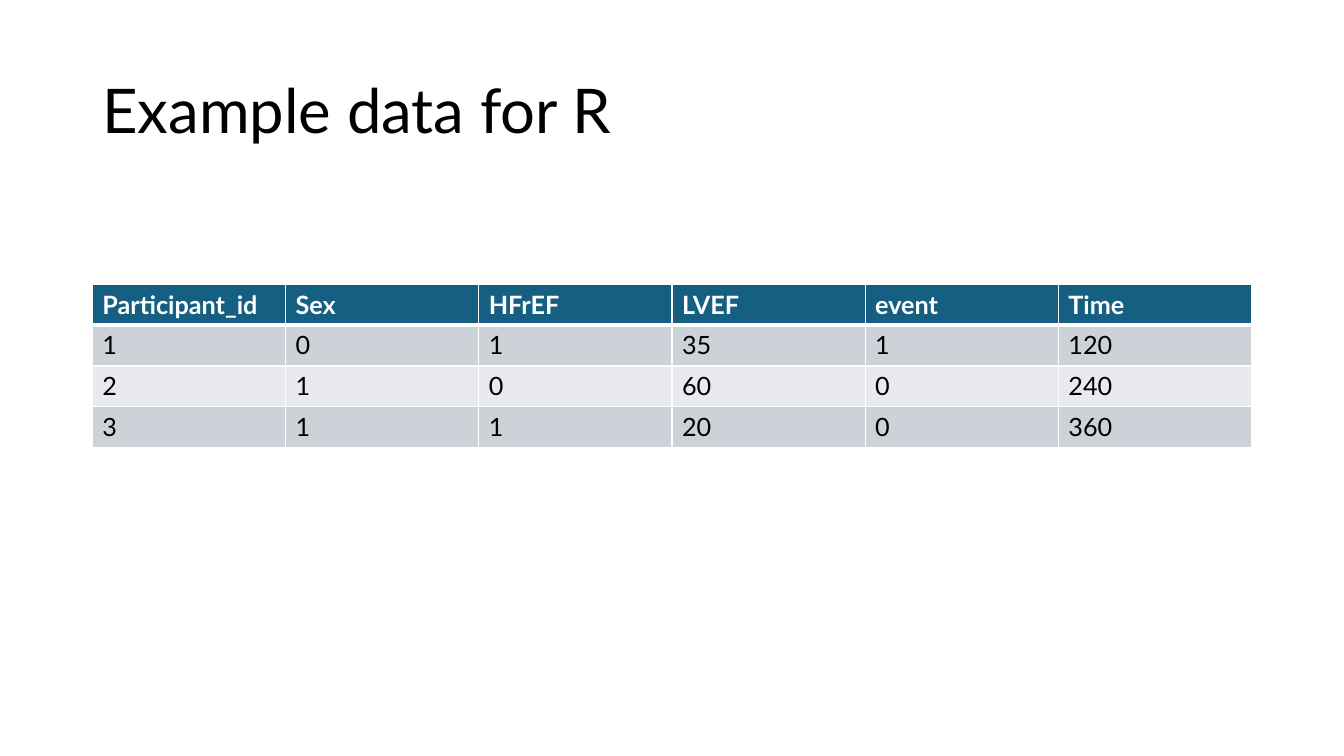
from dataclasses import dataclass

from lxml.etree import SubElement
from pptx import Presentation
from pptx.dml.color import RGBColor
from pptx.enum.text import MSO_ANCHOR
from pptx.oxml.ns import qn
from pptx.util import Pt


@dataclass(frozen=True)
class Theme:
    font: str = "Lato"
    title_size: int = 44
    table_size: int = 18
    ink: str = "000000"
    white: str = "FFFFFF"
    header: str = "156082"
    bands: tuple = ("CCD2D8", "E8EAED")
    rule: int = 1
    header_rule: int = 3


THEME = Theme()
LEFT, WIDTH = 66, 828
ROW_HEIGHT = 29.2

PARTICIPANTS = [
    ("Participant_id", "Sex", "HFrEF", "LVEF", "event", "Time"),
    (1, 0, 1, 35, 1, 120),
    (2, 1, 0, 60, 0, 240),
    (3, 1, 1, 20, 0, 360),
]


def style_text(frame, size, color, bold=False):
    for paragraph in frame.paragraphs:
        for run in paragraph.runs:
            run.font.name = THEME.font
            run.font.size = Pt(size)
            run.font.bold = bold
            run.font.color.rgb = RGBColor.from_string(color)


def add_title(slide, wording):
    title = slide.shapes.add_textbox(Pt(LEFT), Pt(28.75), Pt(WIDTH), Pt(104.4))
    frame = title.text_frame
    frame.word_wrap = True
    frame.vertical_anchor = MSO_ANCHOR.MIDDLE
    frame.text = wording
    frame.paragraphs[0].line_spacing = 0.9
    style_text(frame, THEME.title_size, THEME.ink)


def add_border(cell, side, width):
    line = SubElement(cell._tc.get_or_add_tcPr(), qn(f"a:ln{side}"), w=str(Pt(width)))
    fill = SubElement(line, qn("a:solidFill"))
    SubElement(fill, qn("a:srgbClr"), val=THEME.white)


def format_cell(cell, row):
    is_header = row == 0
    # Borders come before the fill in the cell properties
    widths = {
        "L": THEME.rule,
        "R": THEME.rule,
        "T": THEME.header_rule if row == 1 else THEME.rule,
        "B": THEME.header_rule if is_header else THEME.rule,
    }
    for side, width in widths.items():
        add_border(cell, side, width)
    cell.fill.solid()
    band = THEME.header if is_header else THEME.bands[(row - 1) % 2]
    cell.fill.fore_color.rgb = RGBColor.from_string(band)
    color = THEME.white if is_header else THEME.ink
    style_text(cell.text_frame, THEME.table_size, color, is_header)


def add_data_table(slide, records, top):
    row_count, column_count = len(records), len(records[0])
    table = slide.shapes.add_table(
        row_count, column_count, Pt(LEFT), Pt(top), Pt(WIDTH), Pt(ROW_HEIGHT * row_count)
    ).table
    for row, record in enumerate(records):
        for column, value in enumerate(record):
            cell = table.cell(row, column)
            cell.text_frame.text = str(value)
            format_cell(cell, row)


def main():
    # Slide
    deck = Presentation()
    deck.slide_width, deck.slide_height = Pt(960), Pt(540)
    slide = deck.slides.add_slide(deck.slide_layouts[6])

    # Content
    add_title(slide, "Example data for R")
    add_data_table(slide, PARTICIPANTS, top=203)

    deck.save("out.pptx")


if __name__ == "__main__":
    main()
